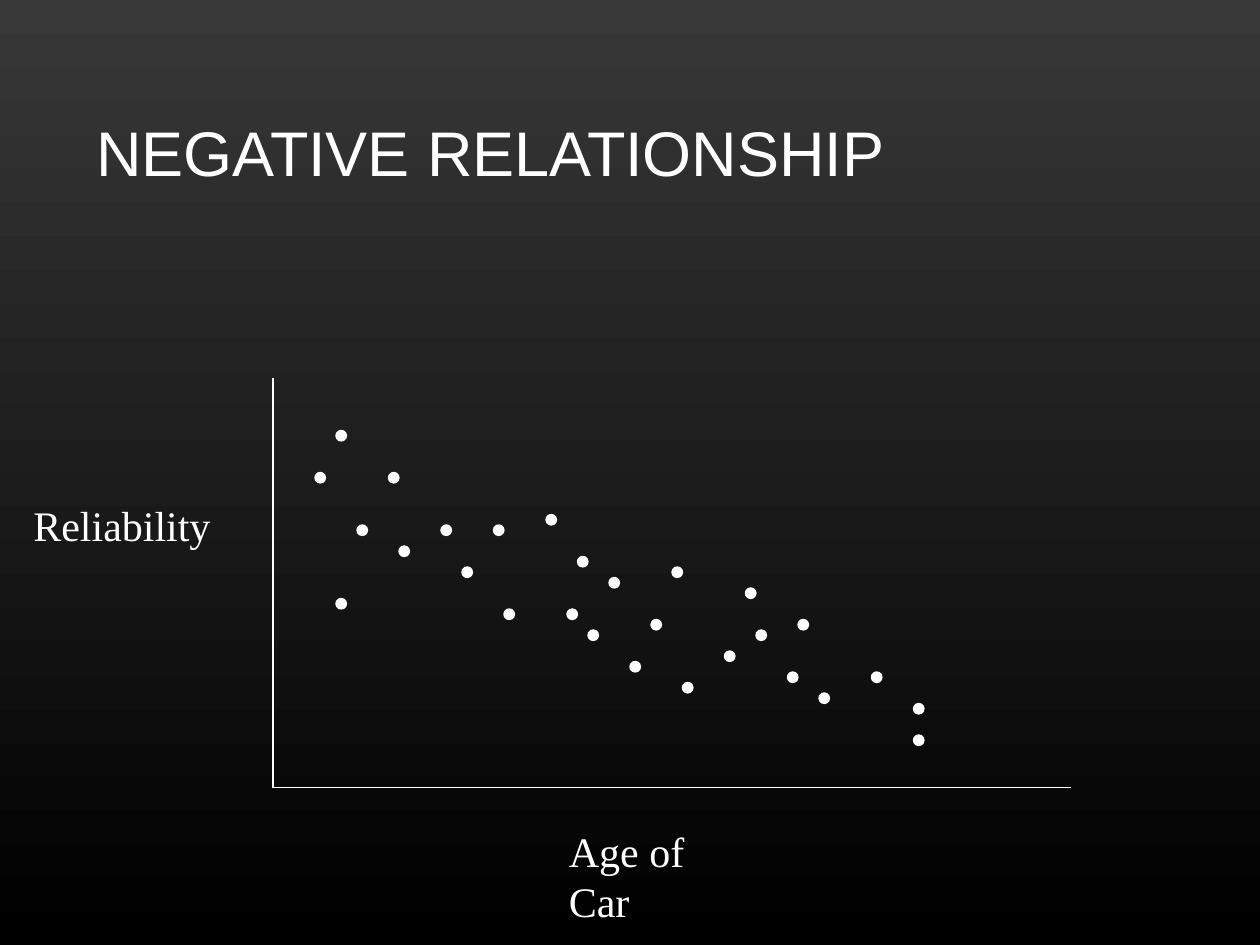
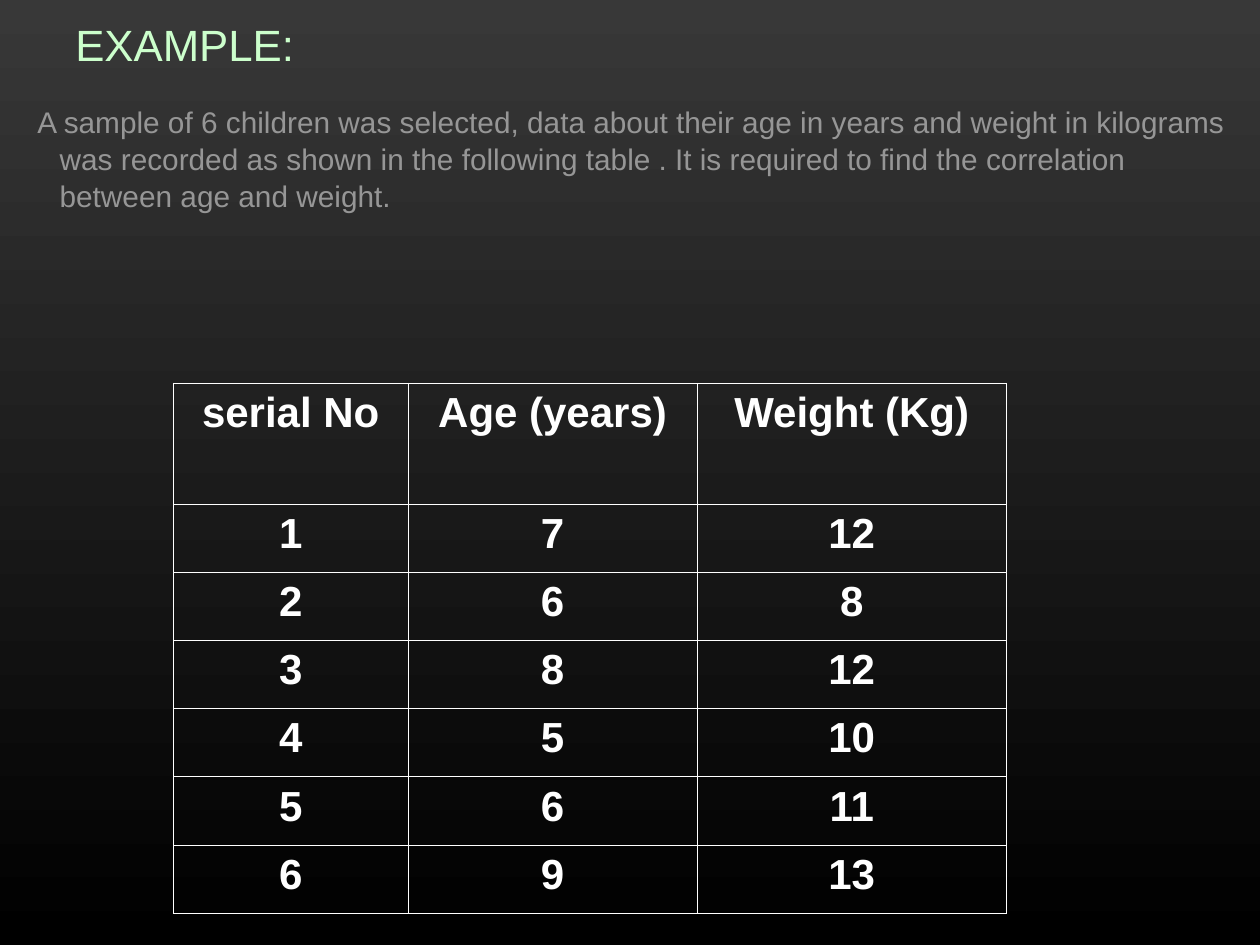
from lxml.etree import SubElement
from pptx import Presentation
from pptx.dml.color import RGBColor
from pptx.enum.shapes import MSO_CONNECTOR, MSO_SHAPE
from pptx.enum.text import MSO_ANCHOR as Anchor, PP_ALIGN as Align
from pptx.oxml import parse_xml
from pptx.oxml.ns import nsdecls, qn
from pptx.util import Emu, Pt

PX = Emu(9525)  # 96 px to the inch
WHITE, PALE_GREEN, GREY = "FFFFFF", "CCFFCC", "969696"
BACKGROUND = ("383838", "000000")
rgb = RGBColor.from_string


def write(frame, text, size, font="Arial", color=WHITE, bold=False,
          align=Align.LEFT, anchor=Anchor.TOP, wrap=True):
    """Fill a text frame with one formatted paragraph and return the paragraph."""
    frame.word_wrap = wrap
    frame.vertical_anchor = anchor
    paragraph = frame.paragraphs[0]
    paragraph.alignment = align
    run = paragraph.add_run()
    run.text = text
    run.font.size = Pt(size)
    run.font.name = font
    run.font.bold = bold
    run.font.color.rgb = rgb(color)
    return paragraph


def add_text(slide, left, top, width, height, text, size, **text_format):
    box = slide.shapes.add_textbox(left * PX, top * PX, width * PX, height * PX)
    return write(box.text_frame, text, size, **text_format)


presentation = Presentation()
presentation.slide_width = 960 * PX
presentation.slide_height = 720 * PX
blank = presentation.slide_layouts[6]

# Shared background
background = presentation.slide_master.background.fill
background.gradient()
background.gradient_angle = 270
for stop, color in zip(background.gradient_stops, BACKGROUND):
    stop.color.rgb = rgb(color)

# Slide 1: scatter of reliability against age
slide = presentation.slides.add_slide(blank)
add_text(slide, 64, 29, 832, 120, "NEGATIVE RELATIONSHIP", 36, anchor=Anchor.BOTTOM)

origin_x, origin_y = 208, 600
for end_x, end_y in ((origin_x, 288), (816, origin_y)):
    axis = slide.shapes.add_connector(
        MSO_CONNECTOR.STRAIGHT, origin_x * PX, origin_y * PX, end_x * PX, end_y * PX)
    axis.line.color.rgb = rgb(WHITE)
    axis.line.width = Pt(0.75)
    SubElement(axis._element.spPr, qn("a:effectLst"))

for left, top, width, label in ((16, 376, 155, "Reliability"), (424, 624, 161, "Age of Car")):
    add_text(slide, left, top, width, 48, label, 24, font="Times New Roman", wrap=False)

# Dots sit on a grid whose step is the dot size
DOT = 8
dots = (
    (32, 57), (37, 45), (44, 54), (52, 49), (48, 58), (47, 50), (55, 53),
    (56, 60), (65, 65), (30, 45), (60, 63), (62, 59), (69, 62), (87, 70),
    (75, 64), (72, 60), (76, 59), (78, 66), (87, 67), (83, 64), (32, 41),
    (34, 50), (42, 50), (54, 58), (64, 54), (71, 56), (38, 52), (58, 55),
)
for column, row in dots:
    dot = slide.shapes.add_shape(
        MSO_SHAPE.OVAL, column * DOT * PX, row * DOT * PX, DOT * PX, DOT * PX)
    dot.shadow.inherit = False
    dot.fill.solid()
    dot.fill.fore_color.rgb = rgb(WHITE)
    dot.line.color.rgb = rgb(WHITE)
    dot.line.width = Pt(0.75)

# Slide 2: sample data
slide = presentation.slides.add_slide(blank)
add_text(slide, 48, 29, 864, 29, "EXAMPLE:", 25, color=PALE_GREEN, anchor=Anchor.BOTTOM)

measurements = [
    ("serial No", "Age (years)", "Weight (Kg)"),
    (1, 7, 12),
    (2, 6, 8),
    (3, 8, 12),
    (4, 5, 10),
    (5, 6, 11),
    (6, 9, 13),
]
column_widths = (179, 220, 236)
row_heights = [92] + [52] * 6
table = slide.shapes.add_table(
    len(row_heights), len(column_widths), 132 * PX, 292 * PX,
    sum(column_widths) * PX, sum(row_heights) * PX).table
table.first_row = table.horz_banding = False
for column, width in zip(table.columns, column_widths):
    column.width = width * PX
for row, height, values in zip(table.rows, row_heights, measurements):
    row.height = height * PX
    for cell, value in zip(row.cells, values):
        write(cell.text_frame, str(value), 24, bold=True, align=Align.CENTER)
        properties = cell._tc.get_or_add_tcPr()
        for side in ("lnL", "lnR", "lnT", "lnB"):
            properties.append(parse_xml(
                f'<a:{side} {nsdecls("a")} w="{Pt(0.45)}"><a:solidFill>'
                f'<a:srgbClr val="{WHITE}"/></a:solidFill></a:{side}>'))
        cell.fill.background()

task = add_text(
    slide, 0, 73, 960, 189,
    "A sample of 6 children was selected, data about their age in years and weight in "
    "kilograms was recorded as shown in the following table . It is required to find the "
    "correlation between age and weight.", 17, color=GREY)
task.line_spacing = 1.04
indents = task._p.get_or_add_pPr()
indents.set("marL", str(36 * PX))
indents.set("indent", str(-17 * PX))

presentation.save("out.pptx")
